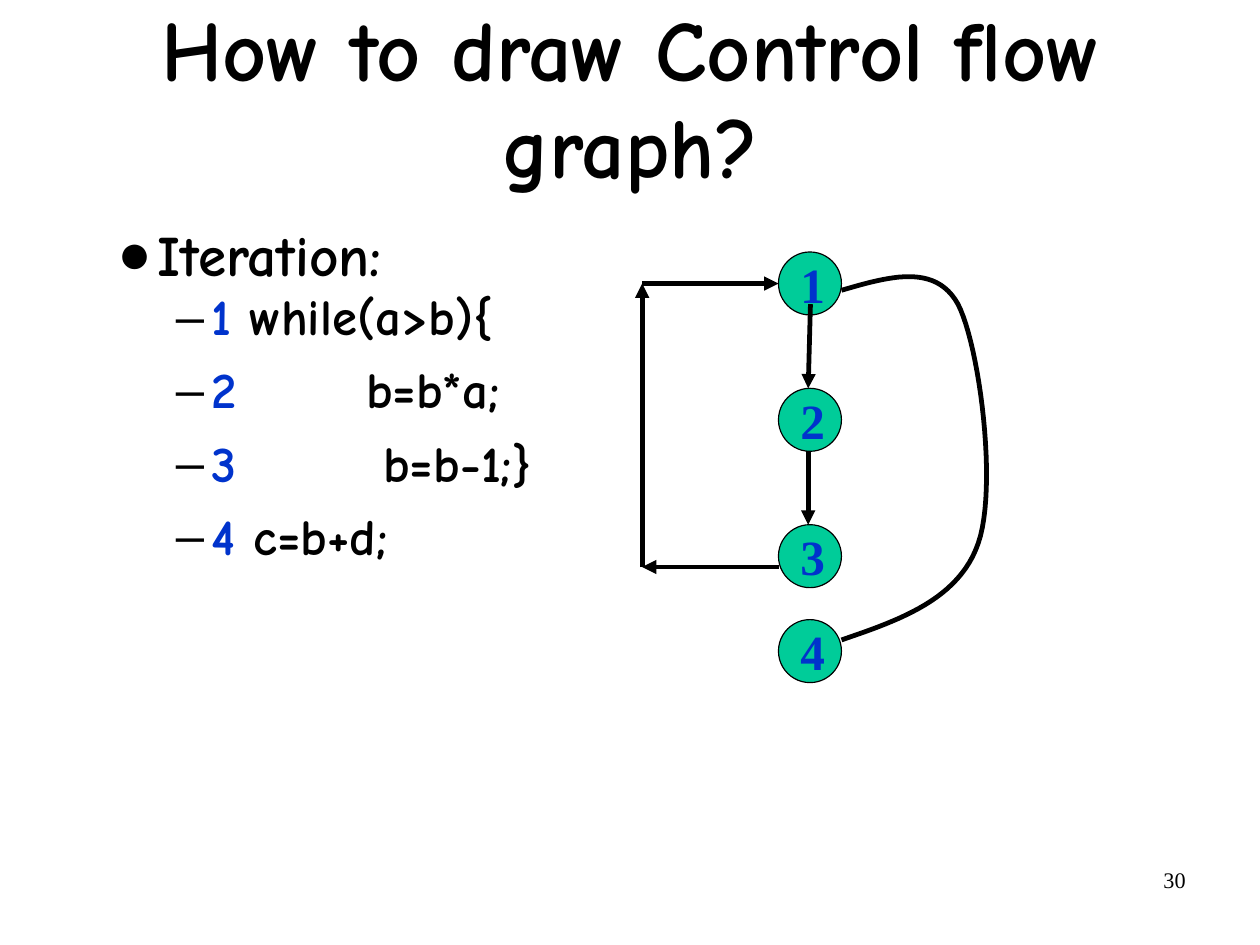
from itertools import pairwise

from lxml import etree
from pptx import Presentation
from pptx.dml.color import RGBColor
from pptx.enum.shapes import MSO_CONNECTOR as CONN, MSO_SHAPE as SHAPE
from pptx.enum.text import MSO_ANCHOR as ANCHOR, MSO_AUTO_SIZE as AUTO, PP_ALIGN as ALIGN
from pptx.oxml.ns import qn
from pptx.util import Cm, Pt

BLACK, BLUE, GREEN = "000000", "0033CC", "00CC99"
HAND, SERIF = "Comic Neue", "Times New Roman"


def rgb(value):
    return RGBColor.from_string(value)


def apply(obj, **values):
    for name, value in values.items():
        setattr(obj, name, value)


def bezier(p0, p1, p2, p3, steps=24):
    """Points along a cubic curve, without its start."""
    for i in range(1, steps + 1):
        t = i / steps
        weights = ((1 - t) ** 3, 3 * t * (1 - t) ** 2, 3 * t * t * (1 - t), t ** 3)
        yield tuple(sum(w * p[axis] for w, p in zip(weights, (p0, p1, p2, p3)))
                    for axis in (0, 1))


class FlowSlide:
    """One slide and the style of everything on it."""

    def __init__(self, prs):
        self.s = prs.slides.add_slide(prs.slide_layouts[1])
        self.shapes = self.s.shapes

    def place(self, sp, left, top, width, height):
        apply(sp, left=Cm(left), top=Cm(top), width=Cm(width), height=Cm(height))

    def frame(self, sp, anchor, across=0.25, down=0.13):
        tf = sp.text_frame
        apply(tf, word_wrap=True, auto_size=AUTO.NONE, vertical_anchor=anchor,
              margin_left=Cm(across), margin_right=Cm(across),
              margin_top=Cm(down), margin_bottom=Cm(down))
        return tf

    def run(self, p, text, size, font=HAND, color=BLACK, bold=True):
        r = p.add_run()
        r.text = text
        apply(r.font, size=Pt(size), name=font, bold=bold)
        r.font.color.rgb = rgb(color)
        return r

    def outline(self, line, width):
        line.color.rgb = rgb(BLACK)
        line.width = Pt(width)

    def title(self, text, *box):
        sp = self.shapes.title
        self.place(sp, *box)
        p = self.frame(sp, ANCHOR.MIDDLE, 0, 0).paragraphs[0]
        apply(p, alignment=ALIGN.CENTER, line_spacing=0.94)
        self.run(p, text, 54)

    def body(self, *box):
        sp = self.shapes.placeholders[1]
        self.place(sp, *box)
        return self.frame(sp, ANCHOR.TOP)

    def bullet(self, p, char, left, hang, level=0, spacing=1.0, before=0):
        apply(p, level=level, line_spacing=spacing, space_before=Pt(before))
        pPr = p._p.get_or_add_pPr()
        pPr.set("marL", str(Cm(left)))
        pPr.set("indent", str(-Cm(hang)))
        color = etree.SubElement(pPr, qn("a:buClr"))
        etree.SubElement(color, qn("a:srgbClr"), val=BLACK)
        etree.SubElement(pPr, qn("a:buChar"), char=char)

    def code_line(self, tf, number, code, gap, before):
        """A numbered line of code; gap widens the space after the number, in points."""
        p = tf.add_paragraph()
        self.bullet(p, "–", 2.39, 0.79, level=1, spacing=0.94, before=before)
        self.run(p, number, 32, color=BLUE)
        space = self.run(p, " ", 32)
        space.font._element.set("spc", str(gap * 100))
        self.run(p, code, 32)

    def node(self, label, left, top, size):
        sp = self.shapes.add_shape(SHAPE.OVAL, Cm(left), Cm(top), Cm(size), Cm(size))
        sp.shadow.inherit = False
        sp.fill.solid()
        sp.fill.fore_color.rgb = rgb(GREEN)
        self.outline(sp.line, 0.75)
        p = self.frame(sp, ANCHOR.MIDDLE, 0.28, 0.15).paragraphs[0]
        p.alignment = ALIGN.CENTER
        self.run(p, label, 31, SERIF, BLUE)

    def arrow(self, start, end):
        c = self.shapes.add_connector(CONN.STRAIGHT, *map(Cm, start + end))
        self.outline(c.line, 3)
        etree.SubElement(c.line._get_or_add_ln(), qn("a:tailEnd"), type="triangle")
        etree.SubElement(c._element.spPr, qn("a:effectLst"))

    def curve(self, start, *segments):
        points, pen = [], start
        for segment in segments:
            points += bezier(pen, *segment)
            pen = segment[-1]
        builder = self.shapes.build_freeform(*map(Cm, start))
        builder.add_line_segments([(Cm(x), Cm(y)) for x, y in points], close=False)
        sp = builder.convert_to_shape()
        sp.shadow.inherit = False
        sp.fill.background()
        self.outline(sp.line, 3)

    def page_number(self, text, *box):
        sp = self.shapes.add_textbox(*map(Cm, box))
        p = self.frame(sp, ANCHOR.TOP).paragraphs[0]
        p.alignment = ALIGN.RIGHT
        self.run(p, text, 14, SERIF, bold=False)


def main():
    prs = Presentation()
    apply(prs, slide_width=Cm(28), slide_height=Cm(21))
    slide = FlowSlide(prs)

    slide.title("How to draw Control flow graph?", 2.06, 0.51, 23.9, 3.48)
    tf = slide.body(2.06, 4.75, 23.9, 13.82)
    heading = tf.paragraphs[0]
    slide.bullet(heading, "●", 1.19, 0.89)
    slide.run(heading, "Iteration:", 36)
    for number, code, gap, before in (("1", "while(a>b){", 0, 1), ("2", "b=b*a;", 70, 10),
                                      ("3", "b=b-1;}", 81, 10), ("4", "c=b+d;", 0, 10)):
        slide.code_line(tf, number, code, gap, before)

    left, size = 17.3, 1.4
    for label, top in zip("1234", (5.6, 8.63, 11.66, 13.77)):
        slide.node(label, left, top, size)

    slide.arrow((18.01, 6.76), (17.96, 8.63))
    slide.arrow((17.96, 10.03), (17.96, 11.66))
    loop = (left, 12.6), (14.27, 12.6), (14.27, 6.3), (left, 6.3)
    for start, end in pairwise(loop):
        slide.arrow(start, end)

    slide.curve((18.7, 6.45),
                ((19.74, 6.15), (20.78, 5.84), (21.29, 6.76)),
                ((21.77, 7.7), (22.17, 10.82), (21.74, 12.07)),
                ((21.31, 13.31), (20.02, 13.77), (18.7, 14.22)))
    slide.page_number("30", 20.07, 19.13, 6.53, 1.45)
    prs.save("out.pptx")


if __name__ == "__main__":
    main()
